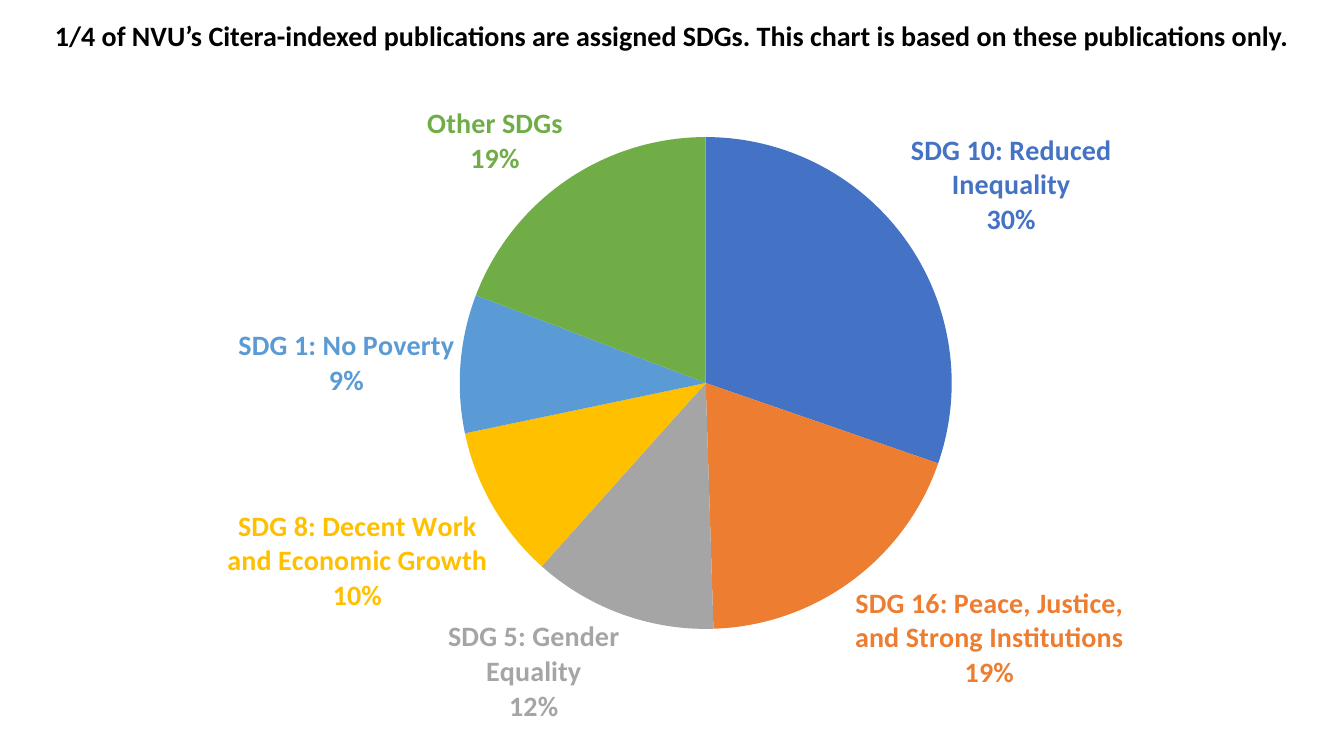
"""Build a slide with a pie chart of publications by SDG."""
from lxml.etree import SubElement, Element
from pptx import Presentation
from pptx.chart.data import CategoryChartData
from pptx.dml.color import RGBColor
from pptx.enum.chart import XL_CHART_TYPE, XL_LABEL_POSITION
from pptx.enum.text import MSO_ANCHOR, PP_ALIGN
from pptx.oxml.ns import qn
from pptx.util import Inches, Pt

TITLE = ("1/4 of NVU’s Citera-indexed publications are assigned SDGs. "
         "This chart is based on these publications only.")
SHARES = [
    ("SDG 10: Reduced Inequality", 30, "4472C4"),
    ("SDG 16: Peace, Justice, and Strong Institutions", 19, "ED7D31"),
    ("SDG 5: Gender Equality", 12, "A5A5A5"),
    ("SDG 8: Decent Work and Economic Growth", 10, "FFC000"),
    ("SDG 1: No Poverty", 9, "5B9BD5"),
    ("Other SDGs", 19, "70AD47"),
]
THEME = {"font": "Calibri", "size": 20, "text": "000000"}
WIDE, HIGH, HEAD = 13.33, 7.5, 0.74
PIE_X, PIE_Y, PIE_SIZE = 4.56, 1.36, 4.88


def style(font, color):
    font.name = THEME["font"]
    font.size = Pt(THEME["size"])
    font.bold = True
    font.color.rgb = RGBColor.from_string(color)


def add_title(slide):
    frame = slide.shapes.add_textbox(0, 0, Inches(WIDE), Inches(HEAD)).text_frame
    frame.word_wrap = True
    frame.vertical_anchor = MSO_ANCHOR.MIDDLE
    frame.text = TITLE
    line = frame.paragraphs[0]
    line.alignment = PP_ALIGN.CENTER
    line.line_spacing = 0.9
    style(line.runs[0].font, THEME["text"])


def place_pie(chart):
    area = chart._chartSpace.xpath("c:chart/c:plotArea")[0]
    for old in area.findall(qn("c:layout")):
        area.remove(old)
    layout = Element(qn("c:layout"))
    area.insert(0, layout)
    manual = SubElement(layout, qn("c:manualLayout"))
    tall = HIGH - HEAD
    rules = [("layoutTarget", "inner"), ("xMode", "edge"), ("yMode", "edge"),
             ("x", PIE_X / WIDE), ("y", (PIE_Y - HEAD) / tall),
             ("w", PIE_SIZE / WIDE), ("h", PIE_SIZE / tall)]
    for tag, val in rules:
        SubElement(manual, qn(f"c:{tag}")).set("val", str(val))


def show_labels(chart):
    for label in chart._chartSpace.xpath("//c:dLbl"):
        for tag, val in (("Val", "0"), ("CatName", "1"), ("Percent", "1")):
            label.find(qn(f"c:show{tag}")).set("val", val)
        SubElement(label, qn("c:separator")).text = "\n"


def add_pie(slide):
    data = CategoryChartData()
    data.categories = [name for name, _, _ in SHARES]
    data.add_series("Series 1", [share for _, share, _ in SHARES])
    chart = slide.shapes.add_chart(
        XL_CHART_TYPE.PIE, 0, Inches(HEAD), Inches(WIDE), Inches(HIGH - HEAD), data).chart
    chart.has_title = False
    chart.has_legend = False
    style(chart.font, THEME["text"])
    plot = chart.plots[0]
    plot.vary_by_categories = True
    for i, (_, _, color) in enumerate(SHARES):
        point = plot.series[0].points[i]
        point.format.fill.solid()
        point.format.fill.fore_color.rgb = RGBColor.from_string(color)
        style(point.data_label.font, color)
        point.data_label.position = XL_LABEL_POSITION.OUTSIDE_END
    show_labels(chart)
    place_pie(chart)


def main():
    deck = Presentation()
    deck.slide_width, deck.slide_height = Inches(WIDE), Inches(HIGH)
    slide = deck.slides.add_slide(deck.slide_layouts[6])
    add_title(slide)
    add_pie(slide)
    deck.save("out.pptx")


if __name__ == "__main__":
    main()
